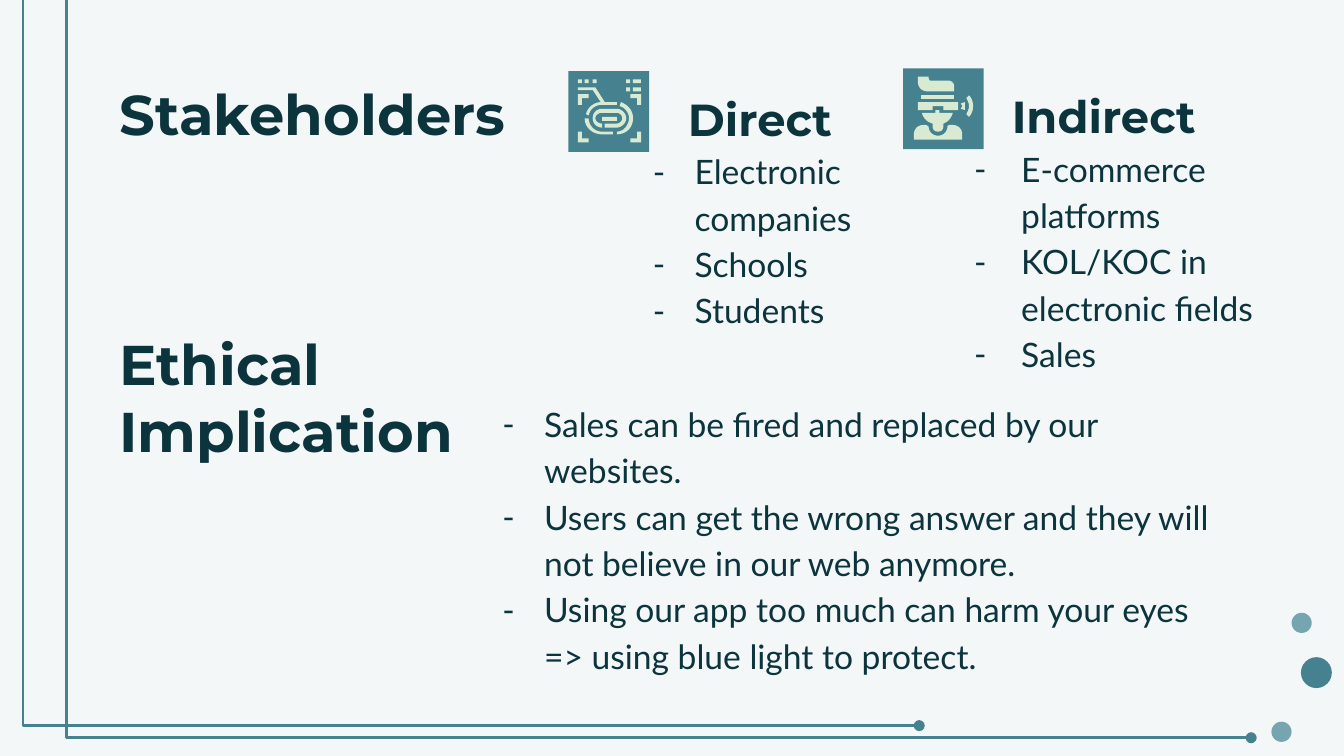
from itertools import product
from lxml.etree import SubElement
from pptx import Presentation
from pptx.dml.color import RGBColor
from pptx.enum.shapes import MSO_CONNECTOR, MSO_SHAPE
from pptx.enum.text import MSO_ANCHOR
from pptx.oxml.ns import qn
from pptx.util import Inches, Pt

HUE = {"back": "F3F7F8", "ink": "0C343D", "teal": "45818E", "mist": "76A5AF", "leaf": "D9EAD3"}
HEAD = dict(font="Montserrat", bold=True)
LIST = dict(font="Lato", size=18, space=1.15)

HEADS = [
    ("Stakeholders", (0.79, 0.49, 8.43, 0.63), dict(size=30)),
    ("Ethical Implication", (0.79, 2.35, 3.4, 0.63), dict(size=30)),
    ("Direct", (5.02, 0.79, 2.17, 0.39), dict(size=24, space=1.15, low=True)),
    ("Indirect", (7.43, 0.77, 2.17, 0.39), dict(size=24, space=1.15, low=True)),
]
LISTS = [
    (["Electronic companies", "Schools", "Students"], (4.76, 0.98, 2.67, 0.71), (0.31, 0.31)),
    (["E-commerce platforms", "KOL/KOC in electronic fields", "Sales"],
     (7, 0.96, 2.61, 1.71), (0.5, 0.35)),
    (["Sales can be fired and replaced by our websites.",
      "Users can get the wrong answer and they will not believe in our web anymore.",
      "Using our app too much can harm your eyes => using blue light to protect."],
     (3.64, 2.86, 5.58, 0.66), (0.31, 0.31)),
]
RAILS = [(0.41, -0.24, 6.84, 5.4, -3700), (0.58, -0.07, 9.31, 5.49, -1000)]
DOTS = [(9.68, 4.89, 0.23, "teal"), (9.46, 5.37, 0.15, "mist"), (9.61, 4.56, 0.15, "mist")]

TILE = 0.6
CHIP = (4.23, 0.53)
FACE = (6.72, 0.51)
CORNER = [(7, 17), (7, 25), (10, 25), (10, 20), (15, 20), (15, 17)]
BITS = [(7, 6, 3), (12, 6, 3), (18, 6, 3), (43, 6, 3), (48, 6, 6), (43, 12, 3), (48, 12, 6), (25, 34, 11)]
PRINT = [
    "M 7 12 L 7 14 L 18 14 L 24 23 C 19 23 14 27 13 32 L 15 33 C 16 28 20 25 25 25 "
    "L 36 25 L 36 23 L 27 23 L 20 12",
    "M 39 23 L 38 26 C 42 27 45 31 45 35 C 45 40 41 45 36 45 L 36 47 C 43 47 48 42 48 35 "
    "C 48 29 44 25 39 23",
    "M 12 35 C 12 42 18 47 25 47 L 33 47 L 33 45 L 25 45 C 19 45 15 40 15 35",
    "M 25 28 C 21 28 18 31 18 35 C 18 39 21 42 25 42 L 25 39 C 22 39 20 37 20 35 "
    "C 20 33 22 31 25 31 L 36 31 C 38 31 40 33 40 35 C 40 37 38 39 36 39 L 27 39 L 27 42 "
    "L 36 42 C 39 42 43 39 43 35 C 43 31 39 28 36 28",
]
HUMAN = [
    "M 11 6 L 11 10 C 11 14 14 17 18 17 L 38 17 L 38 13 C 38 11 36 9 34 9 L 20 9 "
    "C 20 9 19 8 19 7 L 19 6",
    "M 11 25 L 11 31 L 22 31 L 22 28 L 30 28 L 30 31 L 41 31 L 41 25",
    "M 49 20 L 47 22 C 48 24 49 26 49 28 C 49 30 48 32 47 34 L 49 36 C 51 34 52 31 52 28 "
    "C 52 25 51 22 49 20",
    "M 46 25 L 43 26 C 43 27 44 27 44 28 C 44 29 43 29 43 30 L 46 31 C 46 30 46 29 46 28 "
    "C 46 27 46 26 46 25",
    "M 15 42 C 11 42 8 45 8 49 L 8 53 L 44 53 L 44 49 C 44 45 41 42 37 42 L 34 42 "
    "C 34 42 33 43 33 43 C 33 47 30 50 26 50 C 22 50 19 47 19 43 C 18 43 18 42 17 42",
    "M 24 31 L 24 33 L 14 33 C 15 37 18 40 22 41 L 22 43 C 22 46 24 47 26 47 "
    "C 28 47 30 46 30 43 L 30 41 C 33 40 36 37 37 33 L 27 33 L 27 31",
    "M 13 20 L 13 23 L 38 23 L 38 20",
]

deck = Presentation()
deck.slide_width = Inches(10)
deck.slide_height = deck.slide_width * 9 // 16
slide = deck.slides.add_slide(deck.slide_layouts[6])
shapes = slide.shapes


def tint(name):
    return RGBColor.from_string(HUE[name])


def paint(shape, hue):
    shape.shadow.inherit = False
    shape.fill.solid()
    shape.fill.fore_color.rgb = tint(hue)
    shape.line.fill.background()


def solid(kind, box, hue):
    paint(shapes.add_shape(kind, *map(Inches, box)), hue)


def write(text, box, font, size, bold=False, space=None, low=False, indent=None):
    frame = shapes.add_textbox(*map(Inches, box)).text_frame
    frame.word_wrap = True
    frame.margin_left = frame.margin_right = frame.margin_top = frame.margin_bottom = Inches(0.1)
    frame.vertical_anchor = MSO_ANCHOR.BOTTOM if low else MSO_ANCHOR.TOP
    frame.text = text
    for para in frame.paragraphs:
        if space:
            para.line_spacing = space
        look = para.runs[0].font
        look.name, look.size, look.bold = font, Pt(size), bold
        look.color.rgb = tint("ink")
        if indent:
            props = para._p.get_or_add_pPr()
            props.set("marL", str(Inches(indent[0])))
            props.set("indent", str(-Inches(indent[1])))
            ink = SubElement(props, qn("a:buClr"))
            SubElement(ink, qn("a:srgbClr"), val=HUE["ink"])
            SubElement(props, qn("a:buFont"), typeface=font)
            SubElement(props, qn("a:buChar"), char="-")


def rail(x, y, right, base, bend):
    line = shapes.add_connector(MSO_CONNECTOR.ELBOW, *map(Inches, (x, y, right, base)))
    line.line.color.rgb = tint("teal")
    line.line.width = Pt(1.5)
    SubElement(line.line._get_or_add_ln(), qn("a:tailEnd"), type="oval")
    props = line._element.spPr
    SubElement(props, qn("a:effectLst"))
    guides = props.find(qn("a:prstGeom")).get_or_add_avLst()
    SubElement(guides, qn("a:gd"), name="adj1", fmla=f"val {bend}")


def trace(path):
    spots, words = [], iter(path.split())
    for word in words:
        ends = [(int(next(words)), int(next(words))) for _ in range(3 if word == "C" else 1)]
        if word != "C":
            spots += ends
            continue
        curve = [spots[-1]] + ends
        for step in range(1, 9):
            t = step / 8
            mix = ((1 - t) ** 3, 3 * t * (1 - t) ** 2, 3 * t * t * (1 - t), t ** 3)
            spots.append(tuple(sum(m * p[axis] for m, p in zip(mix, curve)) for axis in (0, 1)))
    return spots


def draw(spots, tile):
    fine = [(x * 100, y * 100) for x, y in spots]
    pen = shapes.build_freeform(*fine[0], scale=Inches(1) / 10000)
    pen.add_line_segments(fine[1:], close=True)
    paint(pen.convert_to_shape(*map(Inches, tile)), "leaf")


slide.background.fill.solid()
slide.background.fill.fore_color.rgb = tint("back")
for item in RAILS:
    rail(*item)
for x, y, size, hue in DOTS:
    solid(MSO_SHAPE.OVAL, (x, y, size, size), hue)
for text, box, style in HEADS:
    write(text, box, **HEAD, **style)
for items, box, indent in LISTS:
    write("\n".join(items), box, indent=indent, **LIST)

for tile, paths in ((CHIP, PRINT), (FACE, HUMAN)):
    solid(MSO_SHAPE.RECTANGLE, (*tile, TILE, TILE), "teal")
    for path in paths:
        draw(trace(path), tile)
for right, low in product((False, True), repeat=2):
    draw([(61 - x if right else x, 70 - y if low else y) for x, y in CORNER], CHIP)
for x, y, wide in BITS:
    solid(MSO_SHAPE.RECTANGLE, (CHIP[0] + x / 100, CHIP[1] + y / 100, wide / 100, 0.03), "leaf")

deck.save("out.pptx")
